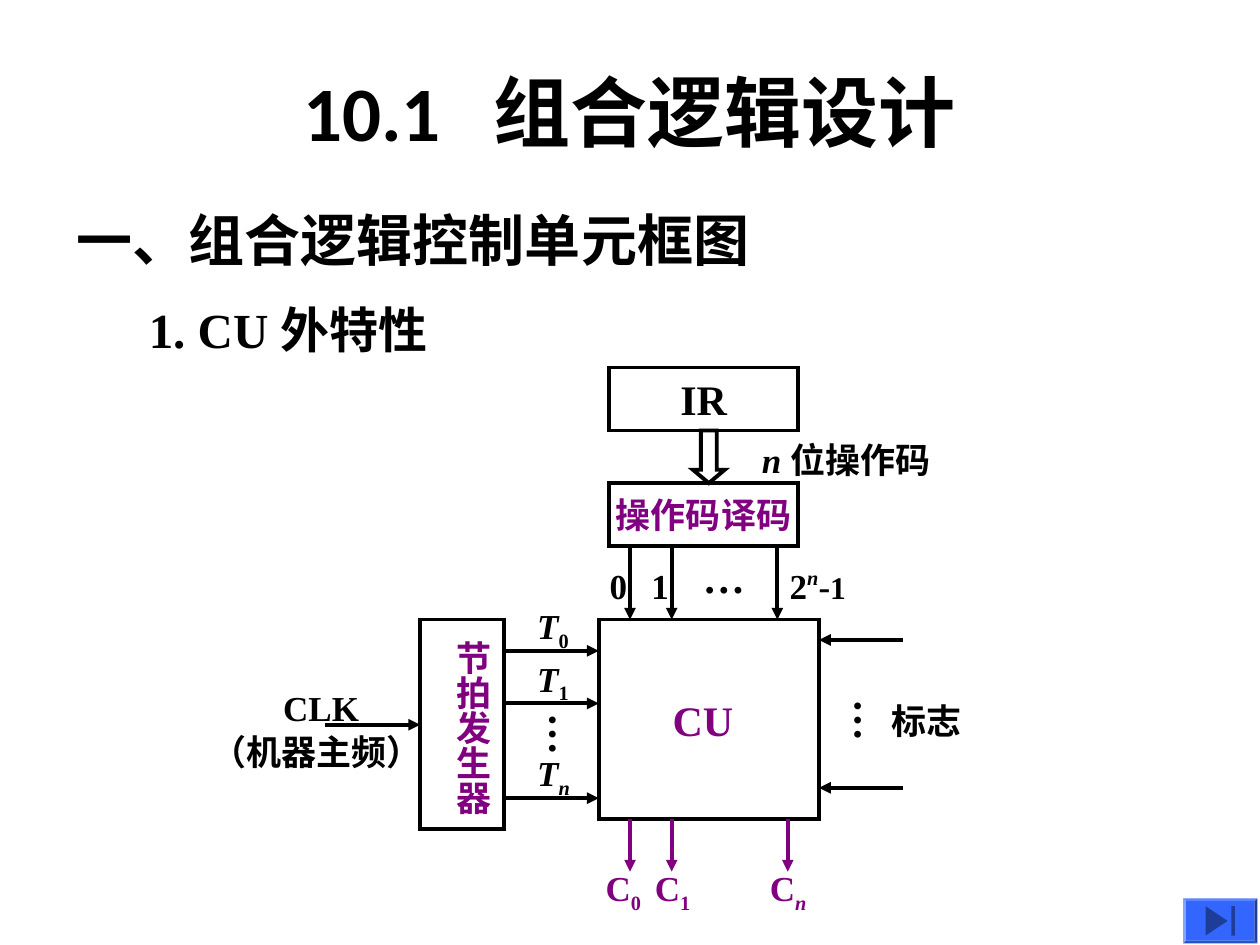
from lxml import etree
from pptx import Presentation
from pptx.dml.color import RGBColor
from pptx.enum.shapes import MSO_CONNECTOR, MSO_SHAPE
from pptx.enum.text import MSO_ANCHOR, MSO_AUTO_SIZE, PP_ALIGN
from pptx.oxml.ns import qn
from pptx.util import Cm, Pt

STRAIGHT = MSO_CONNECTOR.STRAIGHT
RECT, DOWN_ARROW = MSO_SHAPE.RECTANGLE, MSO_SHAPE.DOWN_ARROW
BEVEL, END_BUTTON = MSO_SHAPE.BEVEL, MSO_SHAPE.ACTION_BUTTON_END
MIDDLE, CENTER = MSO_ANCHOR.MIDDLE, PP_ALIGN.CENTER
GROW, FIXED = MSO_AUTO_SIZE.SHAPE_TO_FIT_TEXT, MSO_AUTO_SIZE.NONE

THEME = {
    "black": RGBColor(0, 0, 0), "purple": RGBColor(0x80, 0, 0x80),
    "button": RGBColor(0x33, 0x66, 0xFF),
    "serif": "Times New Roman", "sans": "Calibri", "cjk": "Noto Sans CJK SC",
    "title": 44, "heading": 32, "subheading": 28, "large": 24, "label": 20,
    "small": 18, "line": 2.25,
}
SLACK = 0.8  # spare label width in cm, so that no label breaks

# Run styles
ITALIC = {"italic": True}
SUB = {"baseline": -25}
SUB_ITALIC = {"italic": True, "baseline": -25}
SUPER_ITALIC = {"italic": True, "baseline": 40}

# Blocks of the diagram: left, top, width, height in cm
IR = (12.28, 7.41, 3.81, 1.27)
DECODER = (12.28, 9.74, 3.81, 1.27)
BEAT = (8.47, 12.49, 1.69, 4.23)
CU = (12.07, 12.49, 4.44, 4.02)
OPCODE_ARROW = (13.97, 8.68, 0.64, 1.06)
BUTTON = (23.85, 18.11, 1.5, 0.91)
BUTTON_RIM = 0.06

# Beat signals: arrow y, runs
BEATS = [
    (13.12, [("T", ITALIC), ("0", SUB)]),
    (14.18, [("T", ITALIC), ("1", SUB)]),
    (16.09, [("T", ITALIC), ("n", SUB_ITALIC)]),
]
# Decoder outputs: arrow x, label left, label width, runs
DECODED = [
    (12.7, 12.04, 0.86, [("0", {})]),
    (13.54, 12.88, 0.86, [("1", {})]),
    (15.67, 15.67, 1.63, [("2", {}), ("n", SUPER_ITALIC), ("-", {}),
                          ("1", {"size": THEME["small"]})]),
]
# Control signals: arrow x, label left, runs
CONTROLS = [
    (12.7, 11.96, [("C", {}), ("0", SUB)]),
    (13.54, 12.95, [("C", {}), ("1", SUB)]),
    (15.88, 15.27, [("C", {}), ("n", SUB_ITALIC)]),
]
FLAG_ROWS = [12.9, 15.88]

# Plain labels: box, text, size, colour, vertical
LABELS = [
    ((13.31, 13.87, 1.73, 1.27), "CU", "large", "purple", False),
    ((8.74, 12.66, 1.35, 3.78), "节拍发生器", "label", "purple", True),
    ((5.46, 13.72, 2.03, 1.12), "CLK", "label", "black", False),
    ((4.01, 14.61, 4.75, 1.12), "（机器主频）", "label", "black", False),
    ((17.73, 13.97, 1.91, 1.12), "标志", "label", "black", False),
    ((13.92, 11.0, 1.35, 1.27), "…", "large", "black", False),
    ((10.54, 14.13, 1.52, 1.12), "…", "large", "black", True),
    ((16.69, 13.85, 1.52, 1.12), "…", "large", "black", True),
]

prs = Presentation()
prs.slide_width, prs.slide_height = Cm(25.4), Cm(19.05)
slide = prs.slides.add_slide(prs.slide_layouts[6])


def place(box):
    return [Cm(value) for value in box]


def write(frame, runs, size, color="black", font="serif"):
    """Fill the first paragraph with (text, style) runs."""
    paragraph = frame.paragraphs[0]
    base = paragraph.font
    base.name, base.size, base.bold = THEME[font], Pt(THEME[size]), True
    base.color.rgb = THEME[color]
    defaults = paragraph._p.pPr.find(qn("a:defRPr"))
    etree.SubElement(defaults, qn("a:ea"), typeface=THEME["cjk"])
    for text, style in runs:
        run = paragraph.add_run()
        run.text = text
        if "italic" in style:
            run.font.italic = True
        if "size" in style:
            run.font.size = Pt(style["size"])
        if "baseline" in style:
            run.font._element.set("baseline", str(style["baseline"] * 1000))
        if "spacing" in style:
            run.font._element.set("spc", str(style["spacing"] * 100))
    return paragraph


def add_label(box, runs, size="label", color="black", font="serif", vertical=False):
    left, top, width, height = box
    if not vertical:
        width += SLACK
    frame = slide.shapes.add_textbox(*place((left, top, width, height))).text_frame
    frame.word_wrap, frame.auto_size = True, FIXED
    if vertical:
        frame.word_wrap, frame.auto_size = False, GROW
        frame.margin_left = frame.margin_right = Cm(0.13)
        frame.margin_top = frame.margin_bottom = Cm(0.25)
        frame._txBody.bodyPr.set("vert", "eaVert")
    write(frame, runs, size, color, font)


def add_block(box, kind=RECT):
    block = slide.shapes.add_shape(kind, *place(box))
    block.shadow.inherit = False
    block.fill.background()
    block.line.color.rgb = THEME["black"]
    block.line.width = Pt(THEME["line"])
    etree.SubElement(block.line._get_or_add_ln(), qn("a:miter"), lim="800000")
    return block


def add_named_block(box, text, size, color):
    frame = add_block(box).text_frame
    frame.word_wrap, frame.vertical_anchor = False, MIDDLE
    write(frame, [(text, {})], size, color).alignment = CENTER


def add_arrow(x1, y1, x2, y2, color="black"):
    arrow = slide.shapes.add_connector(STRAIGHT, *place((x1, y1, x2, y2)))
    arrow.line.color.rgb = THEME[color]
    arrow.line.width = Pt(THEME["line"])
    etree.SubElement(arrow.line._get_or_add_ln(), qn("a:tailEnd"), type="triangle")
    etree.SubElement(arrow._element.spPr, qn("a:effectLst"))


def add_button_part(kind, box):
    part = slide.shapes.add_shape(kind, *place(box))
    part.shadow.inherit = False
    part.fill.solid()
    part.fill.fore_color.rgb = THEME["button"]
    part.line.fill.background()
    return part


# Title and headings
title = slide.shapes.add_textbox(*place((1.9, 0.64, 21.59, 3.18))).text_frame
title.word_wrap, title.vertical_anchor = True, MIDDLE
write(title, [("10.1", {}), (" ", {"spacing": 20}), ("组合逻辑设计", {})],
      "title", font="sans").alignment = CENTER
add_label((1.3, 4.02, 14.07, 1.63), [("一、组合逻辑控制单元框图", {})],
          "heading", font="cjk")
add_label((2.75, 5.92, 9.53, 1.45), [("1. CU 外特性", {})], "subheading")

# Blocks
add_named_block(IR, "IR", "large", "black")
add_named_block(DECODER, "操作码译码", "label", "purple")
add_block(BEAT)
add_block(CU)
opcode_arrow = add_block(OPCODE_ARROW, DOWN_ARROW)
opcode_arrow.adjustments[0], opcode_arrow.adjustments[1] = 0.5, 0.42

beat_right = BEAT[0] + BEAT[2]
cu_left, cu_top, cu_right, cu_bottom = CU[0], CU[1], CU[0] + CU[2], CU[1] + CU[3]

# Clock and beat signals
add_arrow(6.55, 14.61, BEAT[0], 14.61)
for y, runs in BEATS:
    add_arrow(beat_right, y, cu_left, y)
    add_label((10.58, y - 1.06, 1.16, 1.22), runs)

# Decoder outputs
for x, left, width, runs in DECODED:
    add_arrow(x, DECODER[1] + DECODER[3], x, cu_top)
    add_label((left, 11.25, width, 1.12), runs)

# Flags and control signals
for y in FLAG_ROWS:
    add_arrow(cu_right + 1.7, y, cu_right, y)
for x, left, runs in CONTROLS:
    add_arrow(x, cu_bottom, x, cu_bottom + 1.06, "purple")
    add_label((left, 17.35, 1.23, 1.22), runs, color="purple")

# Plain labels
for box, text, size, color, vertical in LABELS:
    add_label(box, [(text, {})], size, color, vertical=vertical)
add_label((15.11, 8.71, 4.06, 1.12), [("n ", ITALIC), ("位操作码", {})])

# Navigation button with a raised rim
left, top, width, height = BUTTON
add_button_part(BEVEL, BUTTON).adjustments[0] = BUTTON_RIM / height
add_button_part(END_BUTTON, (left + BUTTON_RIM, top + BUTTON_RIM,
                             width - 2 * BUTTON_RIM, height - 2 * BUTTON_RIM))

prs.save("out.pptx")
